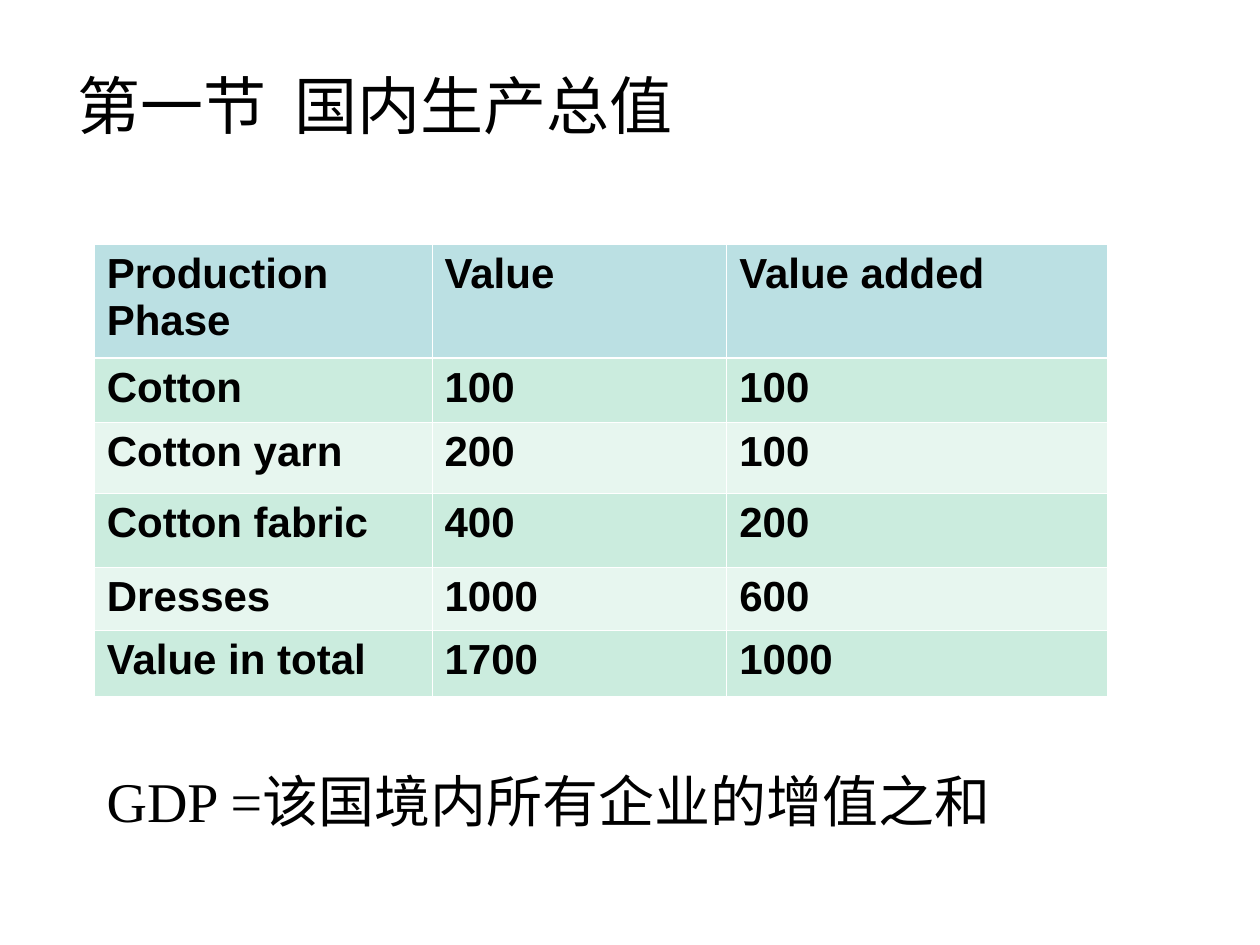
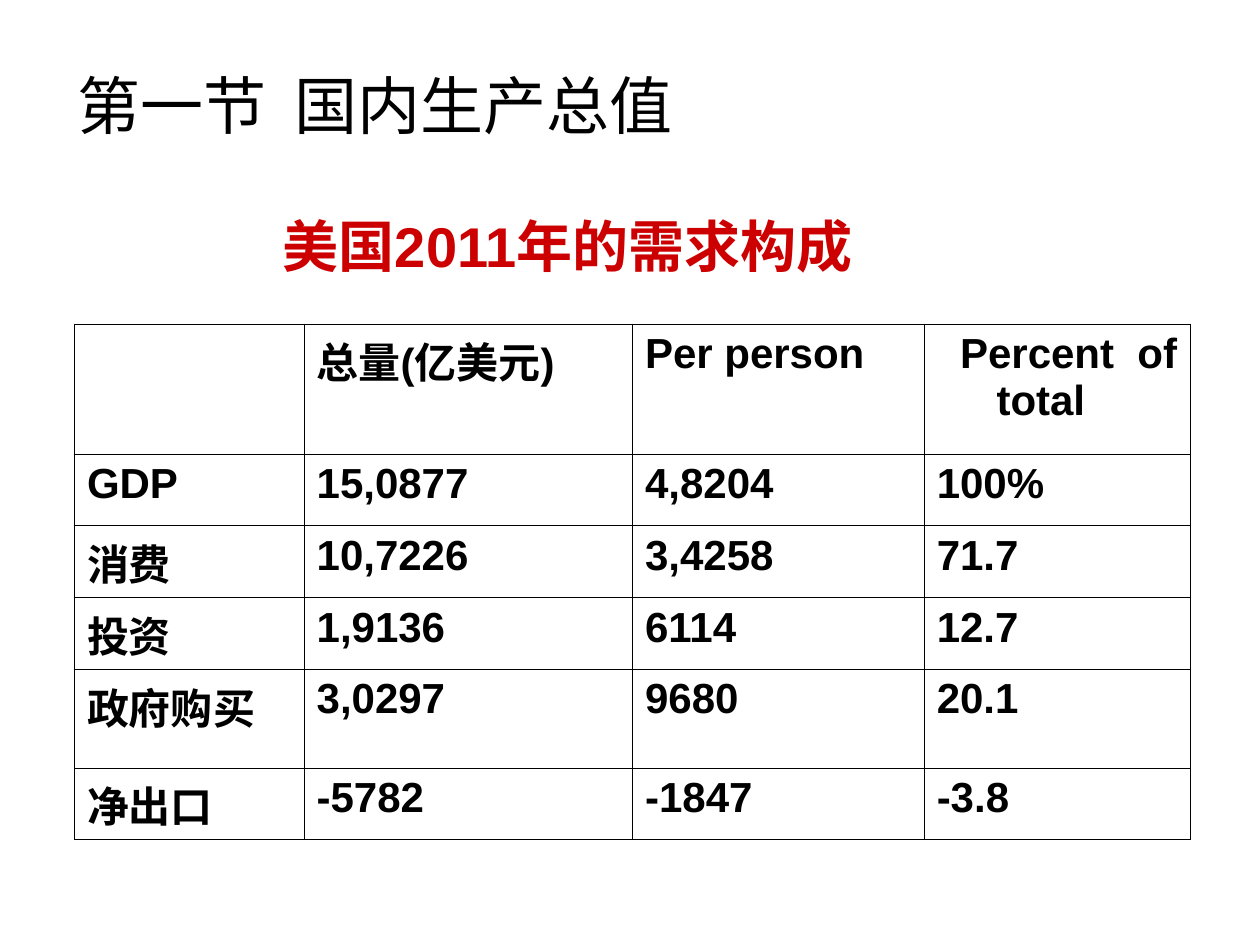
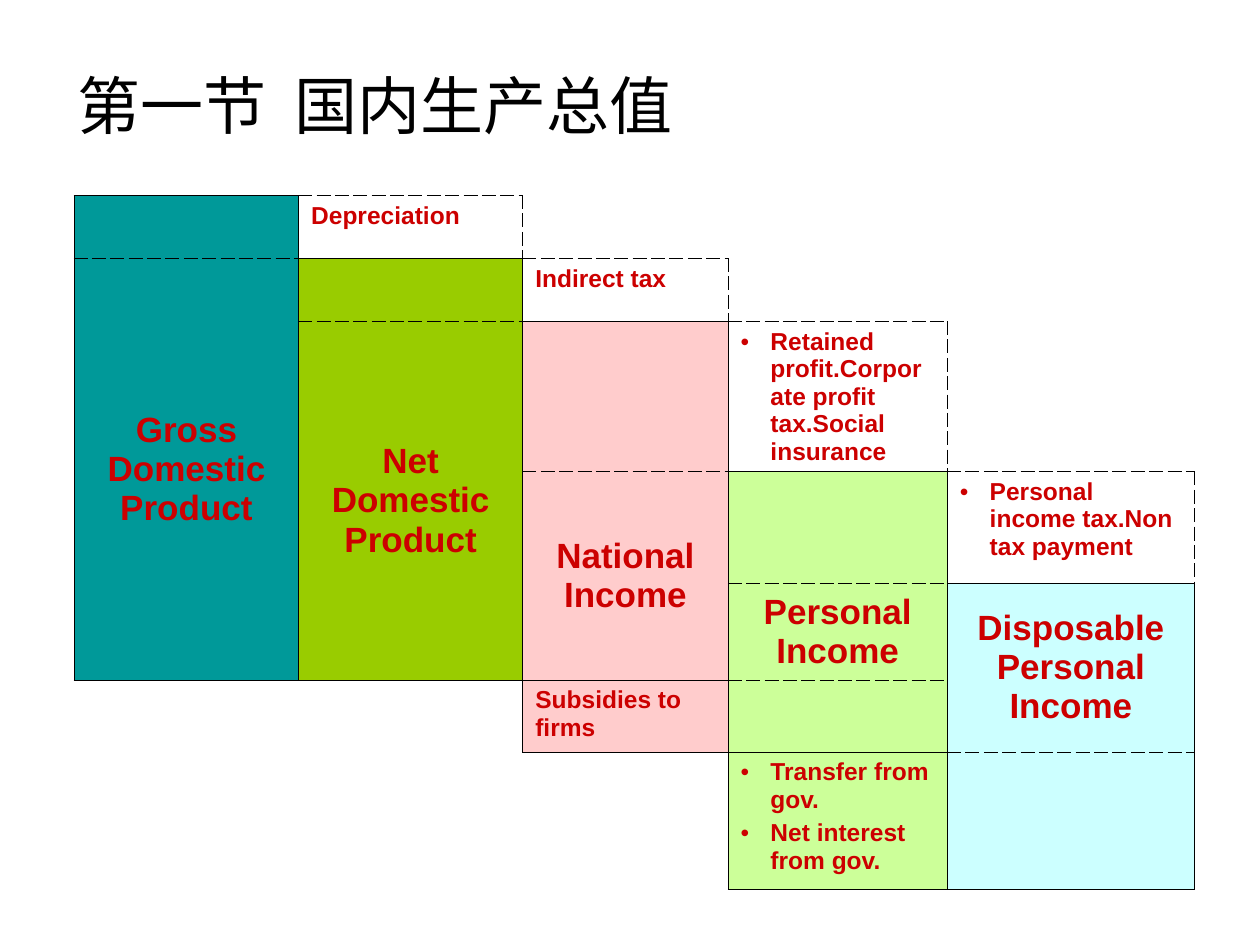
import pptx
import pptx.dml.color
import pptx.enum.text
import pptx.oxml.ns
import pptx.util
from lxml import etree

Cm, Pt = pptx.util.Cm, pptx.util.Pt
RGB = pptx.dml.color.RGBColor
ALIGN, ANCHOR = pptx.enum.text.PP_ALIGN, pptx.enum.text.MSO_ANCHOR

BLACK, WHITE, RED = RGB(0, 0, 0), RGB(255, 255, 255), RGB(0xCC, 0, 0)
HEAD, BAND, PALE = RGB(0xBB, 0xE0, 0xE3), RGB(0xCB, 0xEC, 0xDE), RGB(0xE7, 0xF6, 0xEF)
TEAL, GREEN, PINK = RGB(0, 0x99, 0x99), RGB(0x99, 0xCC, 0), RGB(0xFF, 0xCC, 0xCC)
LIME, AQUA = RGB(0xCC, 0xFF, 0x99), RGB(0xCC, 0xFF, 0xFF)

TITLE = "第一节  国内生产总值"
TITLE_BOX = (1.3, 0.91, 22.86, 2.39)
# Border pens: width in points, dash
PENS = {"s": (0.45, "solid"), "d": (0.45, "dash"), "h": (1.08, "solid"), "w": (1.47, "solid")}

PHASES = [
    ("Production Phase", "Value", "Value added"),
    ("Cotton", "100", "100"),
    ("Cotton yarn", "200", "100"),
    ("Cotton fabric", "400", "200"),
    ("Dresses", "1000", "600"),
    ("Value in total", "1700", "1000"),
]
DEMAND = [
    ("", "总量(亿美元)", "Per person", "Percent  of  total"),
    ("GDP", "15,0877", "4,8204", "100%"),
    ("消费", "10,7226", "3,4258", "71.7"),
    ("投资", "1,9136", "6114", "12.7"),
    ("政府购买", "3,0297", "9680", "20.1"),
    ("净出口", "-5782", "-1847", "-3.8"),
]
# Pens of each income cell: left, right, top, bottom
EDGES = [
    "hssd sdds d--d ---- ----",
    "hsds sssd sdds d--d ----",
    "hs-- ssds sssd sdds d--d",
    "hs-- ss-- ssds sssd sdds",
    "hs-s ss-s ss-s ssdd shsd",
    "--s- -ss- ssss ssds sh-d",
    "---- ---- -ss- sssh shdh",
]
# Fill of each income column and its last filled row; column n starts at row n
STEPS = [(TEAL, 4), (GREEN, 4), (PINK, 5), (LIME, 6), (AQUA, 6)]
SPANS = [(1, 0, 4), (2, 1, 4), (3, 2, 4), (4, 4, 5), (5, 0, 6)]
INCOMES = {
    (1, 0): "Gross Domestic Product",
    (2, 1): "Net Domestic Product",
    (3, 2): "National Income",
    (4, 3): "Personal Income",
    (4, 4): "Disposable Personal Income",
}
NOTES = {(0, 1): "Depreciation", (1, 2): "Indirect tax", (5, 2): "Subsidies to firms"}
LISTS = {
    (2, 3): ["Retained profit.Corporate profit tax.Social insurance"],
    (3, 4): ["Personal income tax.Non tax payment"],
    (6, 3): ["Transfer from gov.", "Net interest from gov."],
}


def tag(parent, name, **attrs):
    return etree.SubElement(parent, pptx.oxml.ns.qn(name), **attrs)


def style(para, size, color=BLACK, bold=False, face="Arial"):
    font = para.font
    font.size, font.name, font.bold = Pt(size), face, bold
    font.color.rgb = color


def indent(para, left, first):
    props = para._p.get_or_add_pPr()
    props.set("marL", str(Cm(left)))
    props.set("indent", str(Cm(first)))
    return props


def bullet(para):
    props = indent(para, 0.6, -0.6)
    tag(tag(props, "a:buClr"), "a:srgbClr", val=str(RED))
    tag(props, "a:buFont", typeface="Arial")
    tag(props, "a:buChar", char="•")


def add_page(deck):
    page = deck.slides.add_slide(deck.slide_layouts[5])
    title = page.shapes.title
    title.left, title.top, title.width, title.height = map(Cm, TITLE_BOX)
    frame = title.text_frame
    frame.text = TITLE
    frame.auto_size = pptx.enum.text.MSO_AUTO_SIZE.NONE
    frame.vertical_anchor = ANCHOR.MIDDLE
    para = frame.paragraphs[0]
    para.alignment = ALIGN.LEFT
    style(para, 36)
    return page


def add_text(page, box, text, **look):
    frame = page.shapes.add_textbox(*map(Cm, box)).text_frame
    frame.word_wrap = True
    frame.text = text
    style(frame.paragraphs[0], 32, **look)
    return frame


def add_grid(page, left, top, cols, rows):
    """Add a plain table with column widths and row heights in centimetres."""
    grid = page.shapes.add_table(
        len(rows), len(cols), Cm(left), Cm(top), Cm(sum(cols)), Cm(sum(rows))
    ).table
    grid.first_row = grid.horz_banding = False
    for col, width in zip(grid.columns, cols):
        col.width = Cm(width)
    for row, height in zip(grid.rows, rows):
        row.height = Cm(height)
    return grid


def dress(cell, pens, color, fill=None):
    """Draw the left, right, top and bottom edges, then the fill."""
    props = cell._tc.get_or_add_tcPr()
    for side, pen in zip("LRTB", pens):
        line = tag(props, "a:ln" + side)
        if pen == "-":
            tag(line, "a:noFill")
            continue
        width, dash = PENS[pen]
        line.set("w", str(Pt(width)))
        tag(tag(line, "a:solidFill"), "a:srgbClr", val=str(color))
        tag(line, "a:prstDash", val=dash)
    if fill is None:
        cell.fill.background()
    else:
        cell.fill.solid()
        cell.fill.fore_color.rgb = fill


def write(cell, text, size=24, color=BLACK):
    cell.text = text
    for para in cell.text_frame.paragraphs:
        style(para, size, color, True)


def phase_page(deck):
    page = add_page(deck)
    grid = add_grid(page, 1.9, 4.93, [6.81, 5.94, 7.67], [2.29, 1.3, 1.42, 1.5, 1.27, 1.32])
    for r, row in enumerate(PHASES):
        fill = HEAD if r == 0 else BAND if r % 2 else PALE
        pens = {0: "sssw", 1: "ssws"}.get(r, "ssss")
        for c, text in enumerate(row):
            dress(grid.cell(r, c), pens, WHITE, fill)
            write(grid.cell(r, c), text)
    add_text(page, (1.9, 15.32, 19, 2), "GDP =该国境内所有企业的增值之和", face="Times New Roman")


def demand_page(deck):
    page = add_page(deck)
    head = add_text(page, (4.7, 4.14, 15.4, 1.63), "美国2011年的需求构成", color=RED, bold=True)
    head.margin_left = Cm(1)
    grid = add_grid(
        page, 1.5, 6.53, [4.63, 6.62, 5.88, 5.36], [2.62, 1.45, 1.45, 1.45, 1.98, 1.45]
    )
    for r, row in enumerate(DEMAND):
        for c, text in enumerate(row):
            cell = grid.cell(r, c)
            dress(cell, "ssss", BLACK)
            if text:
                write(cell, text)
                first = -0.5 if (r, c) == (0, 3) else -0.97
                indent(cell.text_frame.paragraphs[0], 0.97, first)


def income_page(deck):
    grid = add_grid(
        add_page(deck), 1.5, 3.94,
        [4.52, 4.52, 4.14, 4.42, 4.98], [1.27, 1.27, 2.64, 2.24, 1.96, 1.45, 2.77],
    )
    for r, row in enumerate(EDGES):
        for c, pens in enumerate(row.split()):
            fill, last = STEPS[c]
            dress(grid.cell(r, c), pens, BLACK, fill if c <= r <= last else None)
    for r, c, last in SPANS:
        grid.cell(r, c).merge(grid.cell(last, c))
    for spot, text in INCOMES.items():
        cell = grid.cell(*spot)
        write(cell, text, 20, RED)
        cell.vertical_anchor = ANCHOR.MIDDLE
        cell.text_frame.paragraphs[0].alignment = ALIGN.CENTER
    for spot, text in NOTES.items():
        write(grid.cell(*spot), text, 14, RED)
    for spot, items in LISTS.items():
        frame = grid.cell(*spot).text_frame
        frame.text = "\n".join(items)
        for n, para in enumerate(frame.paragraphs):
            if n:
                para.space_before = Pt(3.5)
            bullet(para)
            style(para, 14, RED, True)


def main():
    deck = pptx.Presentation()
    deck.slide_width, deck.slide_height = Cm(25.4), Cm(19.05)
    phase_page(deck)
    demand_page(deck)
    income_page(deck)
    deck.save("out.pptx")


if __name__ == "__main__":
    main()
